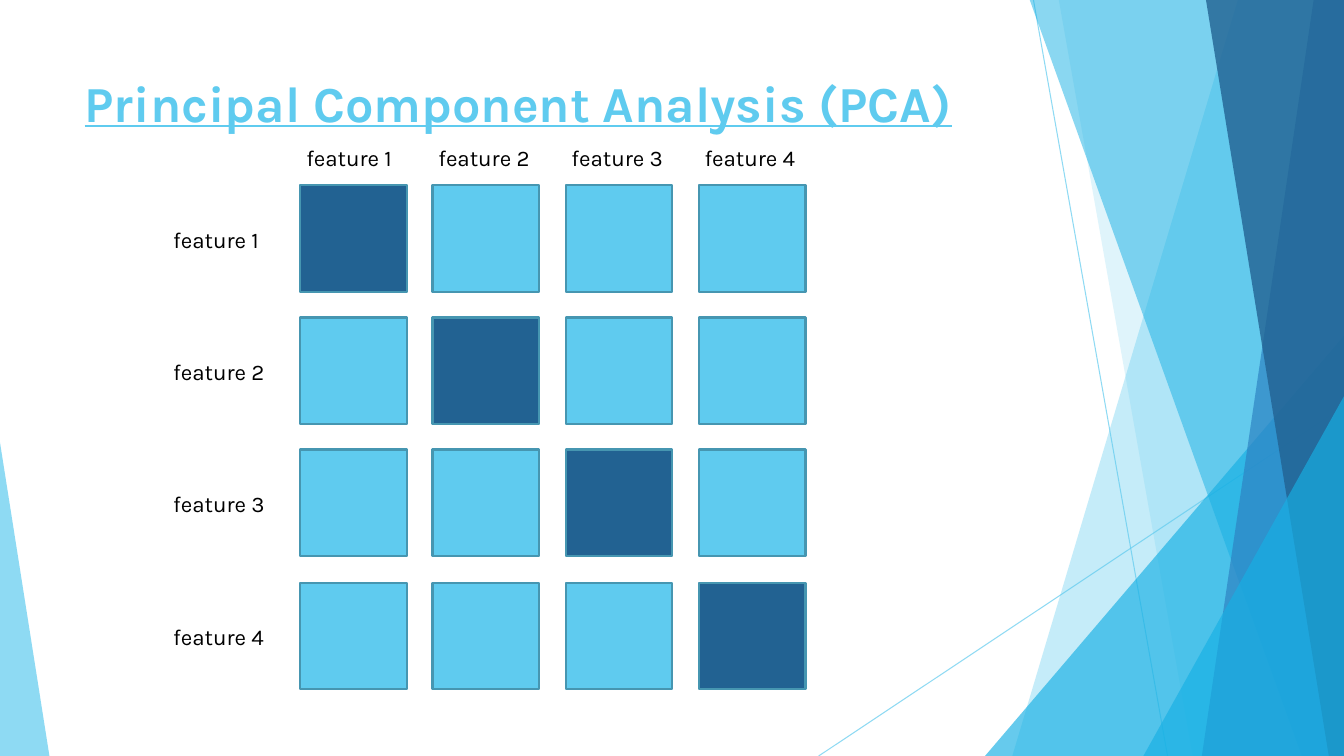
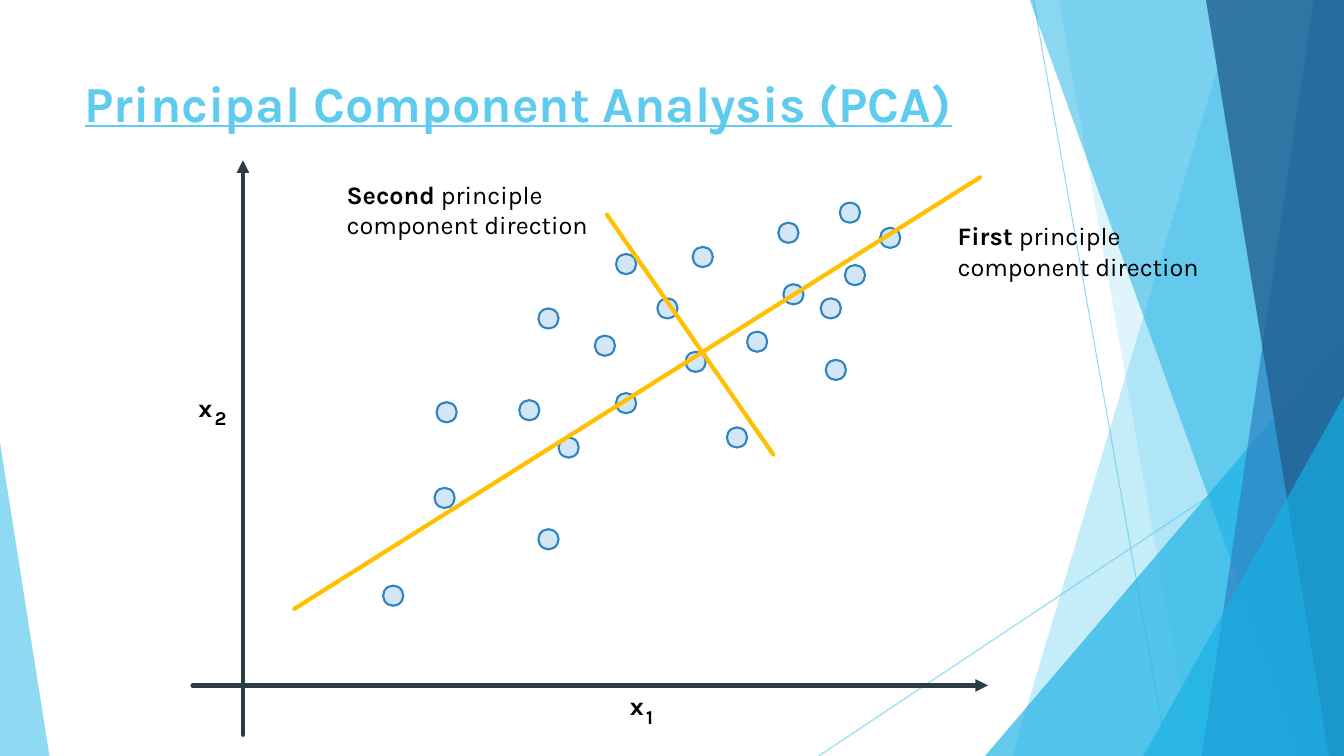
from typing import Any, NamedTuple

from lxml import etree
from pptx import Presentation
from pptx.dml.color import RGBColor
from pptx.enum.shapes import MSO_CONNECTOR, MSO_SHAPE
from pptx.enum.text import MSO_ANCHOR, MSO_AUTO_SIZE, PP_ALIGN
from pptx.oxml.ns import qn
from pptx.util import Emu, Pt

STRAIGHT = MSO_CONNECTOR.STRAIGHT
TRIANGLE, SQUARE, CIRCLE = MSO_SHAPE.ISOSCELES_TRIANGLE, MSO_SHAPE.RECTANGLE, MSO_SHAPE.OVAL
TOP, LEFT = MSO_ANCHOR.TOP, PP_ALIGN.LEFT
FIT_SHAPE, NO_FIT = MSO_AUTO_SIZE.SHAPE_TO_FIT_TEXT, MSO_AUTO_SIZE.NONE

# Lengths are in px, 100 to the inch
EMU_PER_PX = 9144
SLIDE_W, SLIDE_H = 1333, 750
TITLE_ONLY_LAYOUT = 5

COLORS = {
    "sky": "5FCBEF",
    "cyan": "17B0E4",
    "blue": "2E83C3",
    "navy": "226292",
    "cell_edge": "4696B1",
    "dot": "D3E6F5",
    "axis": "2C3C43",
    "direction": "FFC000",
    "text": "000000",
}


def font_format(size: int, color: str = "text", **extra: Any) -> dict[str, Any]:
    return {"name": "Karla", "size": Pt(size), "color": color, **extra}


TITLE_FONT = font_format(36, "sky", bold=True, underline=True)
FEATURE_FONT = font_format(16)
NOTE_FONT = font_format(18)
STRONG_FONT = font_format(18, bold=True)
INDEX_FONT = font_format(14, bold=True)


class Box(NamedTuple):
    left: int
    top: int
    width: int
    height: int


class Band(NamedTuple):
    top_left: int
    top_right: int
    bottom_right: int
    bottom_left: int
    color: str
    alpha: int


class Wedge(NamedTuple):
    box: Box
    apex: int
    color: str
    alpha: int


class Stroke(NamedTuple):
    start: tuple[int, int]
    end: tuple[int, int]
    color: str
    width: float
    arrow: bool = False
    alpha: int = 100


class Note(NamedTuple):
    box: Box
    strong: str
    plain: str
    second_line: str


class AxisName(NamedTuple):
    left: int
    top: int
    index: str


# Backdrop parts, from back to front
BACKDROP = [
    Stroke((1025, 0), (1158, 750), "sky", 0.75, alpha=70),
    Stroke((1333, 403), (812, 750), "sky", 0.75, alpha=70),
    Band(1228, 1333, 1333, 1004, "sky", 36),
    Band(1050, 1333, 1333, 1183, "sky", 20),
    Wedge(Box(977, 333, 356, 417), 1, "cyan", 66),
    Band(1021, 1333, 1333, 1291, "cyan", 50),
    Band(1303, 1333, 1333, 1192, "blue", 70),
    Band(1196, 1333, 1333, 1318, "navy", 80),
    Wedge(Box(1134, 393, 199, 357), 1, "cyan", 66),
    Wedge(Box(0, 439, 49, 311), 0, "sky", 70),
]

# Feature grid
FEATURES = [f"feature {number}" for number in range(1, 5)]
CELL = 106
COLUMN_LEFTS = [298 + 395 * i // 3 for i in range(4)]
ROW_TOPS = [184 + 394 * i // 3 for i in range(4)]

# Scatter diagram
DOT = 20
OBSERVATIONS = [
    (433, 399), (611, 390), (380, 581), (534, 525), (554, 434), (721, 424),
    (687, 245), (741, 329), (873, 226), (431, 484), (515, 397), (534, 306),
    (590, 333), (652, 296), (611, 252), (680, 349), (819, 357), (838, 263),
    (777, 282), (814, 296), (833, 201), (772, 221),
]
AXES = [
    Stroke((241, 729), (241, 159), "axis", 3, arrow=True),
    Stroke((191, 680), (980, 680), "axis", 3, arrow=True),
]
DIRECTIONS = [
    Stroke((292, 604), (972, 176), "direction", 3),
    Stroke((602, 213), (767, 451), "direction", 3),
]
AXIS_NAMES = [AxisName(187, 384, "2"), AxisName(615, 680, "1")]
NOTES = [
    Note(Box(940, 214, 282, 71), "First", " principle", "component direction"),
    Note(Box(334, 173, 282, 71), "Second", " principle", "component direction"),
]


def px(length: int) -> Emu:
    return Emu(length * EMU_PER_PX)


def emu_box(box: Box) -> list[Emu]:
    return [px(length) for length in box]


def rgb(color: str) -> RGBColor:
    return RGBColor.from_string(COLORS[color])


def set_alpha(shape: Any, percent: int) -> None:
    for color in shape._element.spPr.iter(qn("a:srgbClr")):
        etree.SubElement(color, qn("a:alpha")).set("val", str(percent * 1000))


def paint(shape: Any, fill: str, edge: str = "", alpha: int = 100) -> Any:
    shape.shadow.inherit = False
    shape.fill.solid()
    shape.fill.fore_color.rgb = rgb(fill)
    if edge:
        shape.line.color.rgb = rgb(edge)
        shape.line.width = Pt(1.5)
    else:
        shape.line.fill.background()
    if alpha < 100:
        set_alpha(shape, alpha)
    return shape


def draw_stroke(slide: Any, stroke: Stroke) -> Any:
    ends = [px(length) for length in (*stroke.start, *stroke.end)]
    connector = slide.shapes.add_connector(STRAIGHT, *ends)
    connector.line.color.rgb = rgb(stroke.color)
    connector.line.width = Pt(stroke.width)
    outline = connector.line._get_or_add_ln()
    outline.set("cap", "rnd")
    if stroke.arrow:
        etree.SubElement(outline, qn("a:tailEnd")).set("type", "triangle")
    if stroke.alpha < 100:
        set_alpha(connector, stroke.alpha)
    etree.SubElement(connector._element.spPr, qn("a:effectLst"))
    return connector


def draw_band(slide: Any, band: Band) -> Any:
    outline = slide.shapes.build_freeform(px(band.top_left), px(-1))
    corners = [(band.top_right, -1), (band.bottom_right, SLIDE_H), (band.bottom_left, SLIDE_H)]
    outline.add_line_segments([(px(x), px(y)) for x, y in corners], close=True)
    return paint(outline.convert_to_shape(), band.color, alpha=band.alpha)


def draw_wedge(slide: Any, wedge: Wedge) -> Any:
    triangle = slide.shapes.add_shape(TRIANGLE, *emu_box(wedge.box))
    triangle.adjustments[0] = wedge.apex
    return paint(triangle, wedge.color, alpha=wedge.alpha)


def add_run(paragraph: Any, text: str, font: dict[str, Any]) -> None:
    run = paragraph.add_run()
    run.text = text
    for attribute, value in font.items():
        if attribute == "color":
            run.font.color.rgb = rgb(value)
        else:
            setattr(run.font, attribute, value)


def add_label(slide: Any, box: Box, *lines: list[tuple[str, dict[str, Any]]]) -> None:
    frame = slide.shapes.add_textbox(*emu_box(box)).text_frame
    frame.word_wrap = False
    frame.auto_size = FIT_SHAPE
    for number, line in enumerate(lines):
        paragraph = frame.add_paragraph() if number else frame.paragraphs[0]
        for text, font in line:
            add_run(paragraph, text, font)


def add_backdrop(slide: Any) -> None:
    """Draw the backdrop and move it to the layout, behind its placeholders."""
    draw = {Stroke: draw_stroke, Band: draw_band, Wedge: draw_wedge}
    layout_tree = slide.slide_layout.shapes._spTree
    for order, part in enumerate(BACKDROP):
        element = draw[type(part)](slide, part)._element
        next(element.iter(qn("p:cNvPr"))).set("id", str(100 + order))
        layout_tree.insert(2 + order, element)


def add_titled_slide(deck: Any, title: str) -> Any:
    slide = deck.slides.add_slide(deck.slide_layouts[TITLE_ONLY_LAYOUT])
    heading = slide.shapes.title
    heading.left, heading.top, heading.width, heading.height = emu_box(Box(74, 67, 940, 144))
    frame = heading.text_frame
    frame.vertical_anchor = TOP
    frame.auto_size = NO_FIT
    frame.paragraphs[0].alignment = LEFT
    add_run(frame.paragraphs[0], title, TITLE_FONT)
    return slide


def draw_feature_grid(slide: Any) -> None:
    for row, top in enumerate(ROW_TOPS):
        for column, left in enumerate(COLUMN_LEFTS):
            cell = slide.shapes.add_shape(SQUARE, *emu_box(Box(left, top, CELL, CELL)))
            paint(cell, "navy" if row == column else "sky", "cell_edge")
    for feature, left, top in zip(FEATURES, COLUMN_LEFTS, ROW_TOPS):
        add_label(slide, Box(162, top + 35, 113, 37), [(feature, FEATURE_FONT)])
        add_label(slide, Box(left - 4, 138, 113, 37), [(feature, FEATURE_FONT)])


def draw_scatter(slide: Any) -> None:
    for axis in AXES:
        draw_stroke(slide, axis)
    for left, top in OBSERVATIONS:
        dot = slide.shapes.add_shape(CIRCLE, *emu_box(Box(left, top, DOT, DOT)))
        paint(dot, "dot", "blue")
    for direction in DIRECTIONS:
        draw_stroke(slide, direction)
    for left, top, index in AXIS_NAMES:
        add_label(slide, Box(left, top, 34, 40), [("x", STRONG_FONT)])
        add_label(slide, Box(left + 16, top + 14, 31, 34), [(index, INDEX_FONT)])
    for note in NOTES:
        first_line = [(note.strong, STRONG_FONT), (note.plain, NOTE_FONT)]
        add_label(slide, note.box, first_line, [(note.second_line, NOTE_FONT)])


def main() -> None:
    deck = Presentation()
    deck.slide_width, deck.slide_height = px(SLIDE_W), px(SLIDE_H)
    title = "Principal Component Analysis (PCA)"

    grid_slide = add_titled_slide(deck, title)
    add_backdrop(grid_slide)
    draw_feature_grid(grid_slide)

    draw_scatter(add_titled_slide(deck, title))
    deck.save("out.pptx")


if __name__ == "__main__":
    main()
